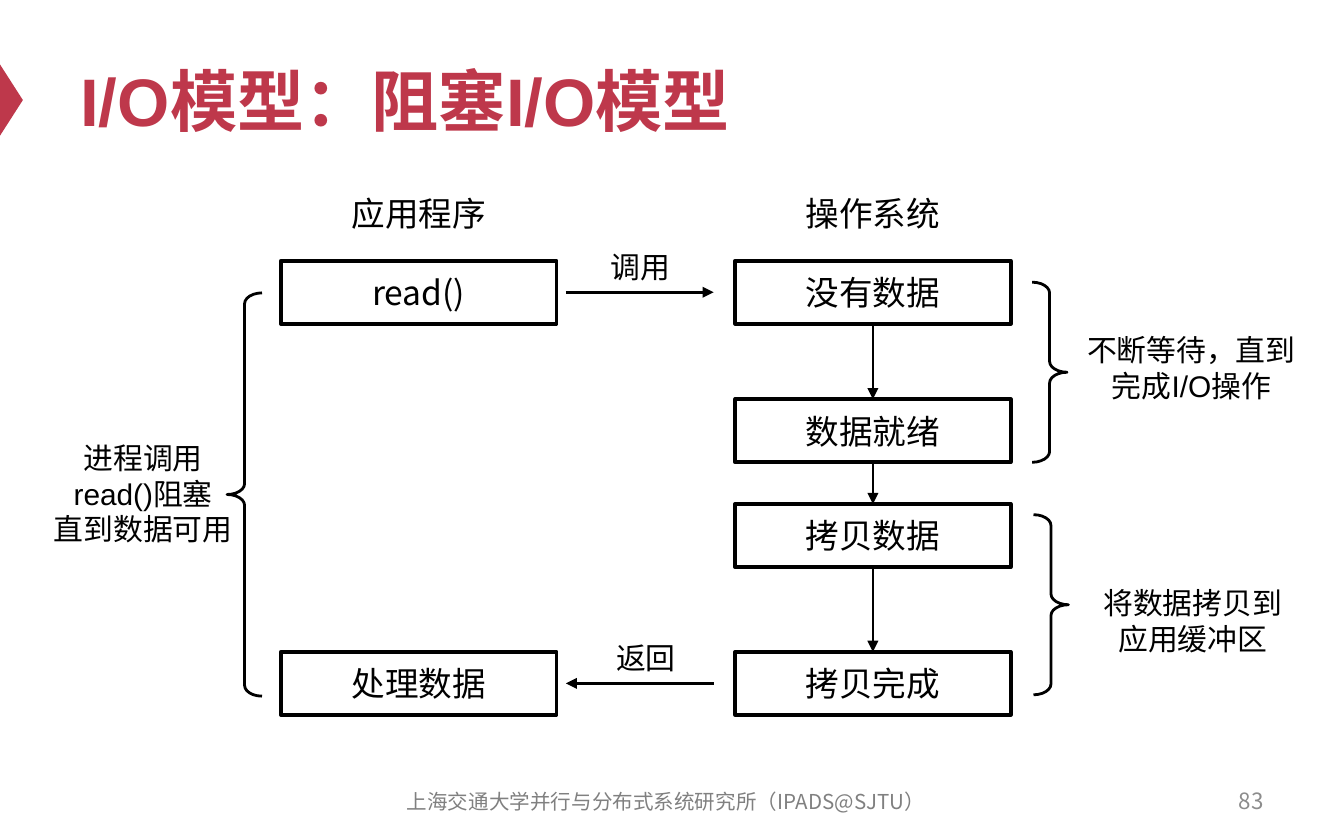
"""Build the slide on the blocking I/O model."""
from lxml import etree
from pptx import Presentation
from pptx.dml.color import RGBColor
from pptx.enum import shapes, text
from pptx.oxml import ns
from pptx.util import Inches, Pt

RED = RGBColor(0xBE, 0x38, 0x4B)
BLACK = RGBColor(0, 0, 0)
WHITE = RGBColor(0xFF, 0xFF, 0xFF)
FOOTER_GRAY = RGBColor(0x80, 0x80, 0x80)
NUMBER_GRAY = RGBColor(0x8C, 0x8C, 0x8C)
LATIN, CJK = "Arial", "Noto Sans CJK SC"
CENTER, LEFT, RIGHT = text.PP_ALIGN.CENTER, text.PP_ALIGN.LEFT, text.PP_ALIGN.RIGHT
TOP, MIDDLE = text.MSO_ANCHOR.TOP, text.MSO_ANCHOR.MIDDLE


def write(sp, words, size, font=LATIN, color=BLACK, align=CENTER, anchor=MIDDLE,
          wrap=True, bold=False):
    tf = sp.text_frame
    tf.text = words
    tf.word_wrap = wrap
    tf.vertical_anchor = anchor
    for p in tf.paragraphs:
        p.alignment = align
        p.font.size = Pt(size)
        p.font.bold = bold
        p.font.name = font
        p.font.color.rgb = color
        props = p._p.pPr.find(ns.qn("a:defRPr"))
        etree.SubElement(props, ns.qn("a:ea"), typeface=CJK)


def add_shape(kind, x, y, w, h, fill=None, line=None):
    sp = s.shapes.add_shape(kind, Inches(x), Inches(y), Inches(w), Inches(h))
    sp.shadow.inherit = False
    if fill is None:
        sp.fill.background()
    else:
        sp.fill.solid()
        sp.fill.fore_color.rgb = fill
    if line is None:
        sp.line.fill.background()
    else:
        sp.line.color.rgb = BLACK
        sp.line.width = Pt(line)
    return sp


prs = Presentation()
prs.slide_width, prs.slide_height = Inches(10), Inches(6.25)
s = prs.slides.add_slide(prs.slide_layouts[6])

marker = add_shape(shapes.MSO_SHAPE.ISOSCELES_TRIANGLE, -0.18, 0.66, 0.53, 0.17, RED)
marker.rotation = 90

title = s.shapes.add_textbox(Inches(0.5), Inches(0.25), Inches(9), Inches(0.98))
write(title, "I/O模型：阻塞I/O模型", 36, color=RED, align=LEFT, bold=True)

number = s.shapes.add_textbox(Inches(7.17), Inches(5.79), Inches(2.33), Inches(0.33))
write(number, "83", 12, CJK, NUMBER_GRAY, RIGHT)

footer = s.shapes.add_textbox(Inches(2.79), Inches(5.8), Inches(4.33), Inches(0.33))
write(footer, "上海交通大学并行与分布式系统研究所（IPADS@SJTU）", 11, CJK, FOOTER_GRAY)

APP_X, OS_X = 2.09, 5.47
BOX_W, BOX_H = 2.05, 0.47
OS_ROWS = [1.94, 2.97, 3.75, 4.85]
FIRST, LAST = OS_ROWS[0], OS_ROWS[-1]

steps = [(APP_X, FIRST, "read()"), (APP_X, LAST, "处理数据")]
steps += [(OS_X, y, words) for y, words in
          zip(OS_ROWS, ["没有数据", "数据就绪", "拷贝数据", "拷贝完成"])]
for x, y, words in steps:
    box = add_shape(shapes.MSO_SHAPE.RECTANGLE, x, y, BOX_W, BOX_H, WHITE, 2)
    write(box, words, 18, CJK)

for x, y, w, h, size, words in [
    (2.51, 1.39, 1.21, 0.4, 18, "应用程序"),
    (5.89, 1.39, 1.21, 0.4, 18, "操作系统"),
    (7.98, 2.42, 1.77, 0.64, 16, "不断等待，直到\n完成I/O操作"),
    (8.1, 4.3, 1.55, 0.64, 16, "将数据拷贝到\n应用缓冲区"),
    (0.29, 3.22, 1.55, 0.91, 16, "进程调用\nread()阻塞\n直到数据可用"),
    (4.44, 1.8, 0.65, 0.37, 16, "调用"),
    (4.48, 4.71, 0.65, 0.37, 16, "返回"),
]:
    label = s.shapes.add_textbox(Inches(x), Inches(y), Inches(w), Inches(h))
    write(label, words, size, anchor=TOP, wrap=False)

for kind, x, y, h in [
    (shapes.MSO_SHAPE.LEFT_BRACE, 1.69, 2.18, 3),
    (shapes.MSO_SHAPE.RIGHT_BRACE, 7.68, 2.1, 1.34),
    (shapes.MSO_SHAPE.RIGHT_BRACE, 7.69, 3.83, 1.34),
]:
    brace = add_shape(kind, x, y, 0.26, h, line=1.5)
    brace.adjustments[0] = 0.31

mid_x = OS_X + BOX_W / 2
call_y, return_y = FIRST + BOX_H / 2, LAST + BOX_H / 2
arrows = [(mid_x, above + BOX_H, mid_x, below)
          for above, below in zip(OS_ROWS, OS_ROWS[1:])]
arrows += [(4.21, call_y, 5.31, call_y), (5.31, return_y, 4.21, return_y)]
for ends in arrows:
    arrow = s.shapes.add_connector(shapes.MSO_CONNECTOR.STRAIGHT, *map(Inches, ends))
    arrow.line.color.rgb = BLACK
    arrow.line.width = Pt(1.5)
    etree.SubElement(arrow.line._get_or_add_ln(), ns.qn("a:tailEnd"), type="triangle")
    etree.SubElement(arrow._element.spPr, ns.qn("a:effectLst"))

prs.save("out.pptx")
